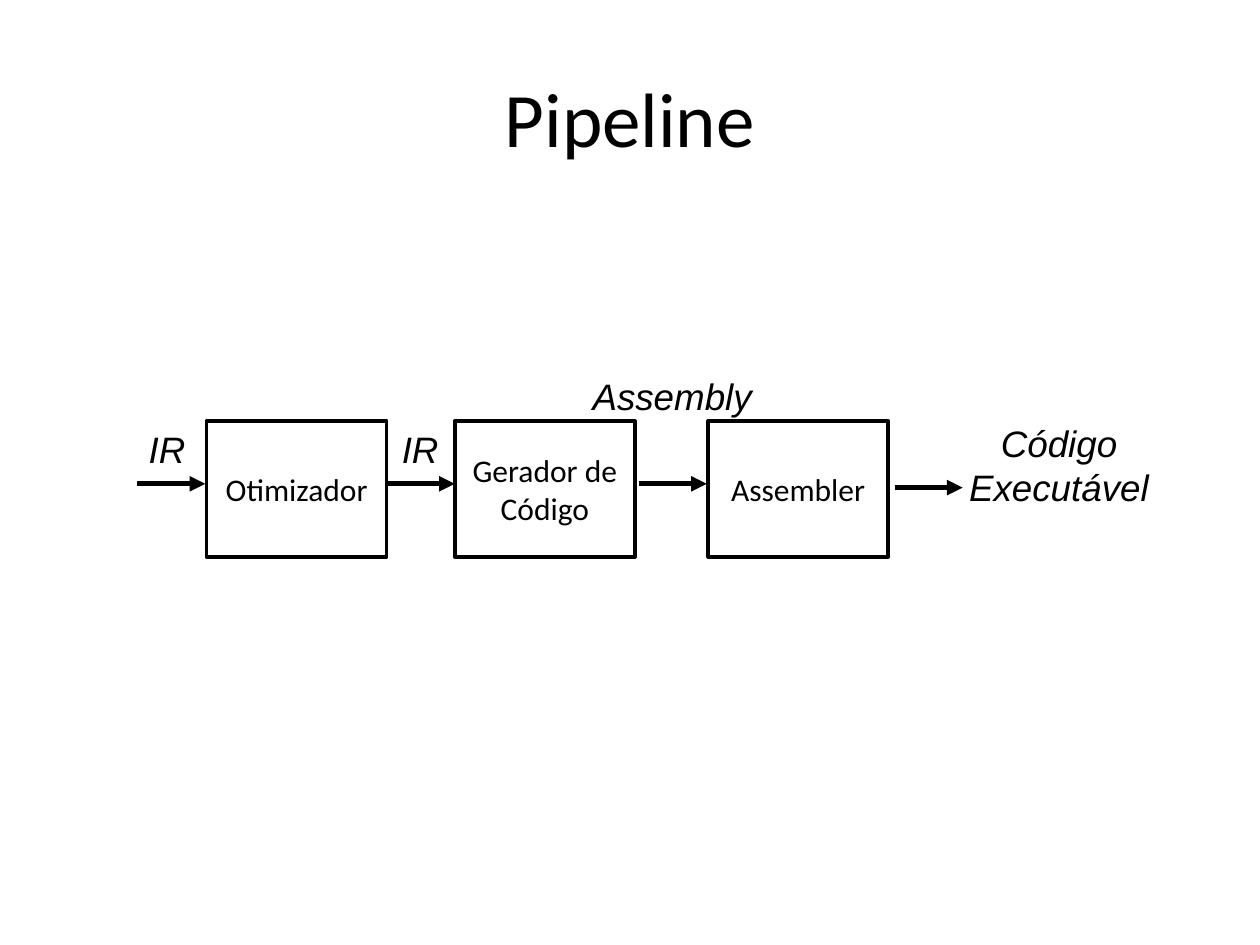
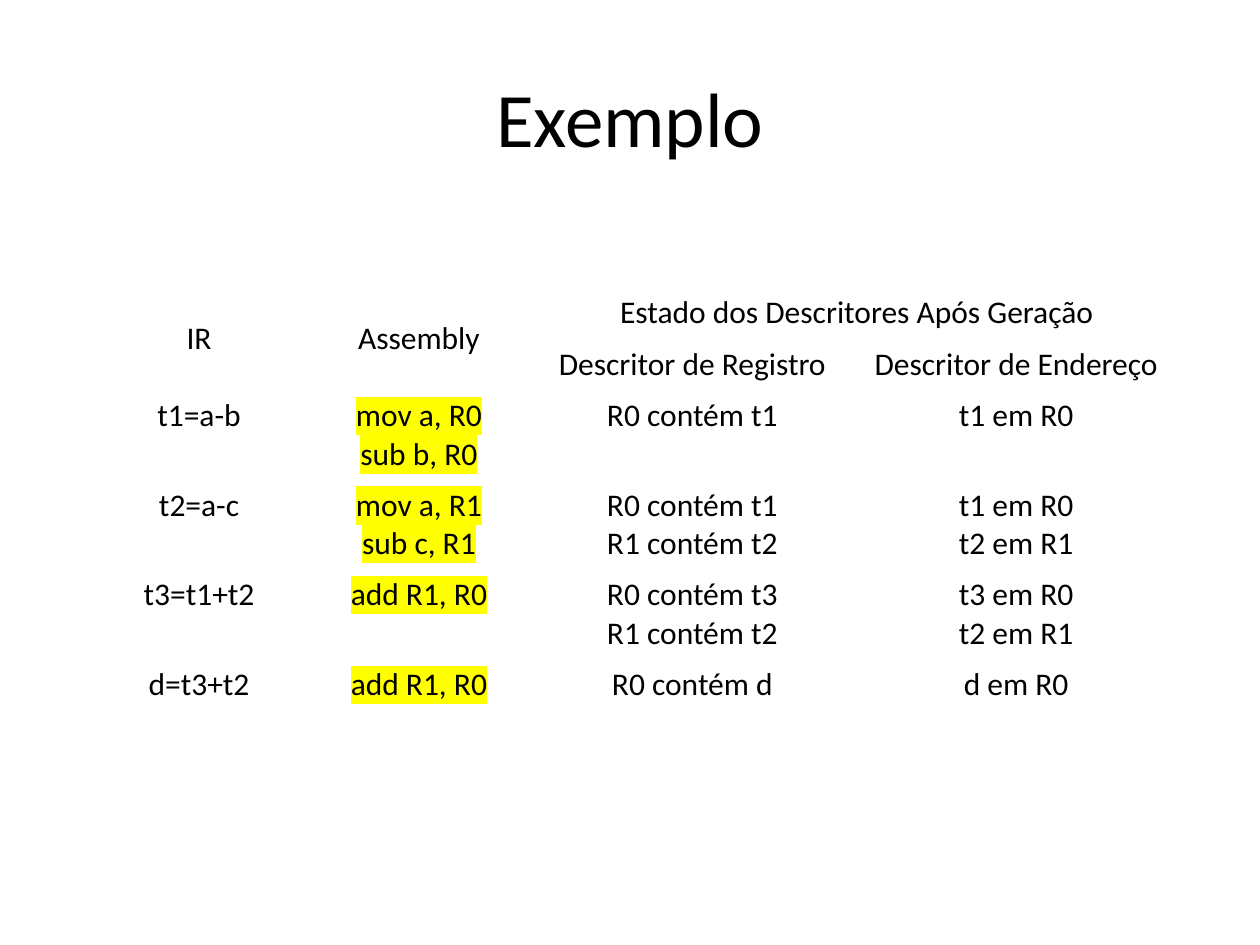
"""Build two slides on code generation: the compiler pipeline and a worked example."""
from typing import NamedTuple

from lxml.etree import SubElement
from pptx import Presentation
from pptx.dml.color import RGBColor as Rgb
from pptx.enum.shapes import MSO_CONNECTOR as Connector, MSO_SHAPE as Preset
from pptx.enum.text import MSO_ANCHOR as Anchor, MSO_AUTO_SIZE as AutoSize, PP_ALIGN as Align
from pptx.oxml import parse_xml
from pptx.oxml.ns import nsdecls, qn
from pptx.slide import Slide
from pptx.util import Emu, Pt

EMU_PER_PX = 9144
COLORS = {"ink": "000000", "paper": "FFFFFF", "marker": "FFFF00"}
BODY_FONT, LABEL_FONT = "Calibri", "Arial"
TITLE_SIZE, LABEL_SIZE, BODY_SIZE = 44, 21, 18
INSET = 5
STAGE_WIDTH, STAGE_HEIGHT, STAGE_TOP = 143, 108, 334
ARROW_LENGTH = 54
LINE_HEIGHT, CELL_PADDING = 30, 11
TITLE_ONLY = 5


class Stage(NamedTuple):
    """A step of the compiler pipeline."""
    name: str
    left: int


class Flow(NamedTuple):
    """An arrow between two steps, with the code form that it carries."""
    carries: str
    left: int
    top: int
    label_box: tuple[int, int, int, int]


class Step(NamedTuple):
    """One translated instruction with the descriptors that follow from it."""
    ir: str
    assembly: str
    registers: str
    addresses: str


STAGES = [Stage("Otimizador", 164), Stage("Gerador de Código", 361), Stage("Assembler", 562)]
FLOWS = [
    Flow("IR", 109, 384, (102, 334, 61, 45)),
    Flow("IR", 307, 384, (303, 334, 61, 45)),
    Flow("Assembly", 507, 384, (465, 292, 137, 45)),
    Flow("Código Executável", 710, 387, (744, 329, 193, 81)),
]
COLUMN_WIDTHS = [168, 181, 253, 261]
HEADERS = [
    Step("IR", "Assembly", "Estado dos Descritores Após Geração", ""),
    Step("", "", "Descritor de Registro", "Descritor de Endereço"),
]
STEPS = [
    Step("t1=a-b", "mov a, R0\nsub b, R0", "R0 contém t1", "t1 em R0"),
    Step("t2=a-c", "mov a, R1\nsub c, R1", "R0 contém t1\nR1 contém t2", "t1 em R0\nt2 em R1"),
    Step("t3=t1+t2", "add R1, R0", "R0 contém t3\nR1 contém t2", "t3 em R0\nt2 em R1"),
    Step("d=t3+t2", "add R1, R0", "R0 contém d", "d em R0"),
]


def px(*lengths: int) -> list[Emu]:
    """Turn pixel lengths into EMU."""
    return [Emu(length * EMU_PER_PX) for length in lengths]


def color(name: str) -> Rgb:
    """Look up a colour of the deck."""
    return Rgb.from_string(COLORS[name])


def write(frame, text: str, size: int = BODY_SIZE, font: str = BODY_FONT,
          italic: bool = False, marked: bool = False) -> None:
    """Fill a text frame with centred lines, one run to a paragraph."""
    for index, line in enumerate(text.split("\n")):
        paragraph = frame.add_paragraph() if index else frame.paragraphs[0]
        paragraph.alignment = Align.CENTER
        run = paragraph.add_run()
        run.text = line
        run.font.size, run.font.name = Pt(size), font
        run.font.color.rgb = color("ink")
        if italic:
            run.font.italic = True
        if marked:
            run.font.fill._xPr.find(qn("a:solidFill")).addnext(parse_xml(
                f'<a:highlight {nsdecls("a")}><a:srgbClr val="{COLORS["marker"]}"/></a:highlight>'))


def pad(frame) -> None:
    """Wrap a text frame and give it the narrow margins of the diagram."""
    frame.word_wrap = True
    (frame.margin_left, frame.margin_top,
     frame.margin_right, frame.margin_bottom) = px(*[INSET] * 4)


def add_titled_slide(deck, heading: str) -> Slide:
    """Add a white slide with its heading in the title placeholder."""
    slide = deck.slides.add_slide(deck.slide_layouts[TITLE_ONLY])
    slide.background.fill.solid()
    slide.background.fill.fore_color.rgb = color("paper")
    title = slide.shapes.title
    title.left, title.top, title.width, title.height = px(50, 30, 900, 125)
    title.text_frame.vertical_anchor = Anchor.MIDDLE
    write(title.text_frame, heading, TITLE_SIZE)
    return slide


def draw_stage(slide: Slide, stage: Stage) -> None:
    """Draw a pipeline step as an outlined box."""
    box = slide.shapes.add_shape(
        Preset.RECTANGLE, *px(stage.left, STAGE_TOP, STAGE_WIDTH, STAGE_HEIGHT))
    box.shadow.inherit = False
    box.fill.solid()
    box.fill.fore_color.rgb = color("paper")
    box.line.color.rgb = color("ink")
    box.line.width = Pt(2)
    box.text_frame.vertical_anchor = Anchor.MIDDLE
    pad(box.text_frame)
    write(box.text_frame, stage.name)


def draw_flow(slide: Slide, flow: Flow) -> None:
    """Draw an arrow and the label of what it carries."""
    arrow = slide.shapes.add_connector(
        Connector.STRAIGHT, *px(flow.left, flow.top, flow.left + ARROW_LENGTH, flow.top))
    arrow.line.color.rgb = color("ink")
    arrow.line.width = Pt(3)
    SubElement(arrow.line._get_or_add_ln(), qn("a:tailEnd"), type="triangle")
    SubElement(arrow._element.spPr, qn("a:effectLst"))

    label = slide.shapes.add_textbox(*px(*flow.label_box)).text_frame
    pad(label)
    label.auto_size = AutoSize.SHAPE_TO_FIT_TEXT
    write(label, flow.carries, LABEL_SIZE, LABEL_FONT, italic=True)


def draw_translation(slide: Slide) -> None:
    """Draw the table of instructions and descriptors."""
    lines = HEADERS + STEPS
    heights = [CELL_PADDING + LINE_HEIGHT * max(text.count("\n") + 1 for text in line)
               for line in lines]
    table = slide.shapes.add_table(
        len(lines), len(COLUMN_WIDTHS),
        *px(74, 228, sum(COLUMN_WIDTHS), sum(heights))).table
    table.first_row = table.horz_banding = False
    for column, width in zip(table.columns, px(*COLUMN_WIDTHS)):
        column.width = width
    for row, height in zip(table.rows, px(*heights)):
        row.height = height

    for column in (0, 1):
        table.cell(0, column).merge(table.cell(1, column))
        table.cell(0, column).vertical_anchor = Anchor.MIDDLE
    table.cell(0, 2).merge(table.cell(0, 3))

    for row, line in enumerate(lines):
        for column, text in enumerate(line):
            cell = table.cell(row, column)
            cell.fill.background()
            if text:
                marked = row >= len(HEADERS) and text == line.assembly
                write(cell.text_frame, text, marked=marked)


def main() -> None:
    """Build and save the deck."""
    deck = Presentation()
    deck.slide_width, deck.slide_height = px(1000, 750)

    pipeline = add_titled_slide(deck, "Pipeline")
    for stage in STAGES:
        draw_stage(pipeline, stage)
    for flow in FLOWS:
        draw_flow(pipeline, flow)

    draw_translation(add_titled_slide(deck, "Exemplo"))
    deck.save("out.pptx")


if __name__ == "__main__":
    main()
